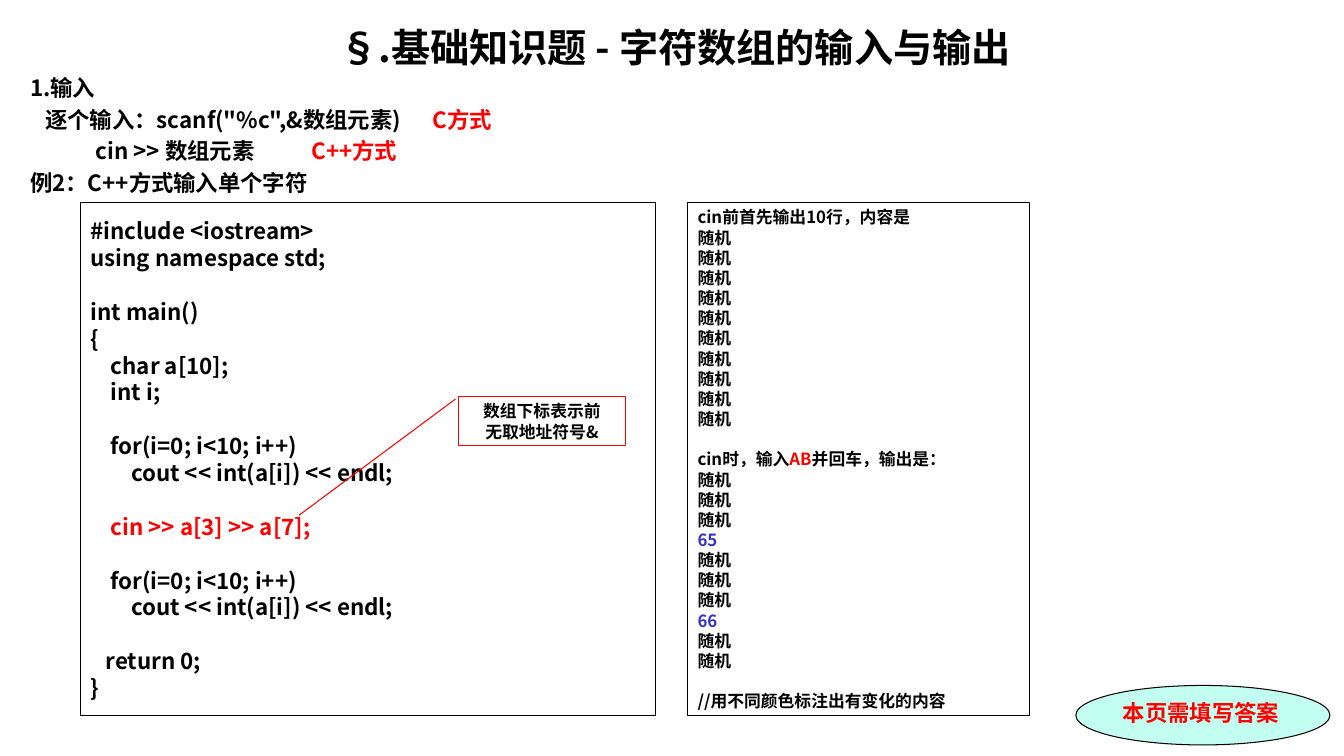
from lxml.etree import SubElement
from pptx import Presentation
from pptx.dml.color import RGBColor
from pptx.enum.shapes import MSO_SHAPE
from pptx.enum.text import MSO_ANCHOR, PP_ALIGN
from pptx.oxml.ns import qn
from pptx.util import Pt

PX = 9144  # 100 px to the inch
SANS, SERIF = "Noto Sans CJK SC", "Times New Roman"
BLACK, RED, BLUE, MINT = "000000", "FF0000", "3333CC", "C2FFF0"
LEAD = 1.2  # line pitch as a multiple of the text size

# A line is a string or a list of (text, colour); "" leaves a gap of one line.
TITLE = "§.基础知识题 - 字符数组的输入与输出"
# Each intro line comes with its tab stops in px.
INTRO = [
    ("1.输入", []),
    ([("\t逐个输入：scanf(\"%c\",&数组元素)\t", BLACK), ("C方式", RED)], [15, 399]),
    ([("\tcin >> 数组元素\t", BLACK), ("C++方式", RED)], [65, 279]),
    ("例2：C++方式输入单个字符", []),
]
LOOP = ["    for(i=0; i<10; i++)", "        cout << int(a[i]) << endl;", ""]
CODE = [
    "#include <iostream>",
    "using namespace std;",
    "",
    "int main()",
    "{",
    "    char a[10];",
    "    int i;",
    "",
    *LOOP,
    [("    cin >> a[3] >> a[7];", RED)],
    "",
    *LOOP,
    "   return 0;",
    "}",
]
RAND = ["随机"]
RESULT = [
    "cin前首先输出10行，内容是",
    *RAND * 10,
    "",
    [("cin时，输入", BLACK), ("AB", RED), ("并回车，输出是：", BLACK)],
    *RAND * 3,
    [("65", BLUE)],
    *RAND * 3,
    [("66", BLUE)],
    *RAND * 2,
    "",
    "//用不同颜色标注出有变化的内容",
]
HINT = ["数组下标表示前", "无取地址符号&"]
TODO = [[("本页需填写答案", RED)]]

HEAD_AT = (20, 18, 1299, 709)
MID, TOP = MSO_ANCHOR.MIDDLE, MSO_ANCHOR.TOP
LEFT, CENTER = PP_ALIGN.LEFT, PP_ALIGN.CENTER
# preset, place, fill, line colour, anchor, alignment, font, size, lines
BOXES = [
    (MSO_SHAPE.OVAL, (1067, 680, 252, 59), MINT, BLACK, TOP, LEFT, SERIF, 16, TODO),
    (MSO_SHAPE.RECTANGLE, (80, 201, 570, 509), None, BLACK, MID, LEFT, SANS, 16, CODE),
    (MSO_SHAPE.RECTANGLE, (682, 201, 339, 509), None, BLACK, MID, LEFT, SANS, 12, RESULT),
    (MSO_SHAPE.LINE_CALLOUT_1, (455, 393, 165, 49), None, RED, TOP, CENTER, SANS, 12, HINT),
]
POINTER = (0.06, -0.02, 2.41, -0.96)


def rgb(hue):
    return RGBColor.from_string(hue)


def place(at):
    return [n * PX for n in at]


def fill_para(para, line, size, face, align, before=0, tabs=()):
    """Write one line of text; before is in points, tabs in px."""
    look = {"alignment": align, "line_spacing": Pt(size * LEAD),
            "space_before": Pt(before)}
    for key, val in look.items():
        setattr(para, key, val)
    if tabs:
        stops = SubElement(para._p.get_or_add_pPr(), qn("a:tabLst"))
        for x in tabs:
            SubElement(stops, qn("a:tab"), pos=str(x * PX), algn="l")
    for text, hue in [(line, BLACK)] if isinstance(line, str) else line:
        run = para.add_run()
        run.text = text
        for key, val in {"name": face, "size": Pt(size), "bold": True}.items():
            setattr(run.font, key, val)
        run.font.color.rgb = rgb(hue)
        SubElement(run._r.get_or_add_rPr(), qn("a:ea"), typeface=SANS)


def fill_frame(frame, lines, size, face, align):
    """Write lines, turning each "" into space before the next line."""
    gap, para = 0, frame.paragraphs[0]
    for line in lines:
        if line == "":
            gap = size * LEAD
            continue
        para = para or frame.add_paragraph()
        fill_para(para, line, size, face, align, gap)
        gap, para = 0, None


def add_box(slide, kind, at, fill, edge, anchor, align, face, size, lines):
    box = slide.shapes.add_shape(kind, *place(at))
    box.shadow.inherit = False
    if fill:
        box.fill.solid()
        box.fill.fore_color.rgb = rgb(fill)
    else:
        box.fill.background()
    box.line.color.rgb = rgb(edge)
    box.line.width = Pt(0.75)
    if kind == MSO_SHAPE.LINE_CALLOUT_1:
        for i, val in enumerate(POINTER):
            box.adjustments[i] = val
    frame = box.text_frame
    frame.word_wrap = True
    frame.vertical_anchor = anchor
    fill_frame(frame, lines, size, face, align)


def main():
    deck = Presentation()
    deck.slide_width, deck.slide_height = place((1333, 750))
    slide = deck.slides.add_slide(deck.slide_layouts[6])
    head = slide.shapes.add_textbox(*place(HEAD_AT)).text_frame
    head.word_wrap = True
    fill_para(head.paragraphs[0], TITLE, 28, SANS, CENTER)
    for line, tabs in INTRO:
        fill_para(head.add_paragraph(), line, 16, SANS, PP_ALIGN.JUSTIFY, 3.2, tabs)
    for box in BOXES:
        add_box(slide, *box)
    deck.save("out.pptx")


if __name__ == "__main__":
    main()
